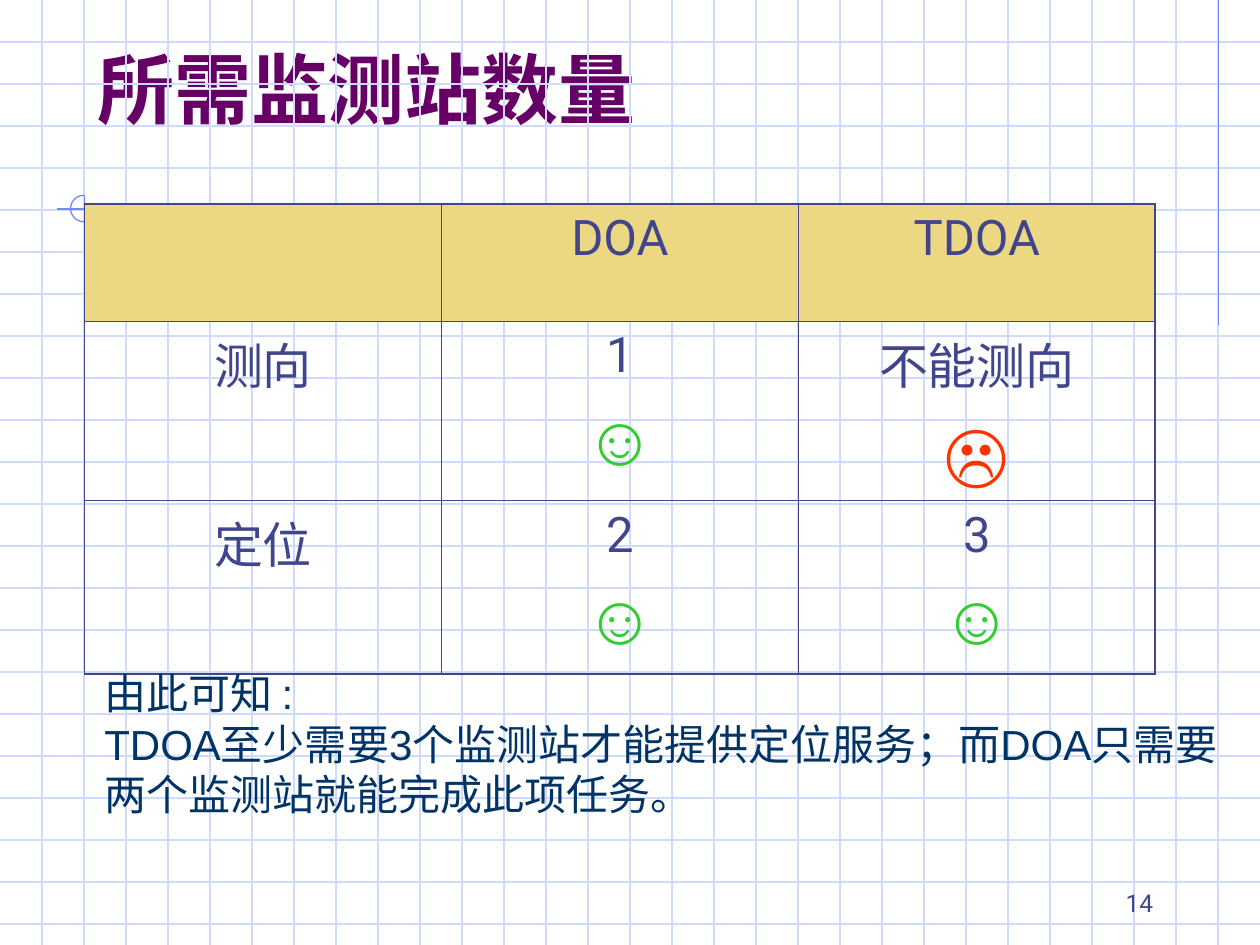
from dataclasses import dataclass

from lxml import etree
from pptx import Presentation
from pptx.dml.color import RGBColor
from pptx.enum.shapes import MSO_CONNECTOR, MSO_SHAPE
from pptx.enum.text import MSO_ANCHOR, MSO_AUTO_SIZE, PP_ALIGN
from pptx.oxml.ns import qn
from pptx.util import Inches, Pt

STRAIGHT = MSO_CONNECTOR.STRAIGHT
ARC = MSO_SHAPE.ARC
BOTTOM = MSO_ANCHOR.BOTTOM
LEFT, CENTER, RIGHT = PP_ALIGN.LEFT, PP_ALIGN.CENTER, PP_ALIGN.RIGHT
NO_AUTOFIT = MSO_AUTO_SIZE.NONE
GROW = MSO_AUTO_SIZE.SHAPE_TO_FIT_TEXT

GRID_BLUE = RGBColor(0xCF, 0xDB, 0xFD)
ACCENT_BLUE = RGBColor(0x6F, 0x89, 0xF7)
PURPLE = RGBColor(0x66, 0x00, 0x66)
INDIGO = RGBColor(0x40, 0x45, 0x8C)
NAVY = RGBColor(0x00, 0x33, 0x66)
SAND = RGBColor(0xEC, 0xD8, 0x82)
GREEN = RGBColor(0x33, 0xCC, 0x33)
RED = RGBColor(0xFF, 0x33, 0x00)

WIDTH, HEIGHT = 10, 7.5
CELLS_PER_INCH = 3
THIN, THICK = 0.45, 1.08


@dataclass
class Line:
    x1: float
    y1: float
    x2: float
    y2: float
    color: RGBColor


@dataclass
class Entry:
    label: str = ""
    face: str = ""
    face_color: RGBColor = GREEN


ACCENT_LINES = [
    Line(9.67, 0, 9.67, 2.58, ACCENT_BLUE),
    Line(2.4, 1.66, 0.45, 1.66, ACCENT_BLUE),
    Line(0.67, 1.55, 0.67, 4.09, ACCENT_BLUE),
]
ENTRIES = [
    [Entry(), Entry("DOA"), Entry("TDOA")],
    [Entry("测向"), Entry("1", "☺"), Entry("不能测向", "☹", RED)],
    [Entry("定位"), Entry("2", "☺"), Entry("3", "☺")],
]
ROW_HEIGHTS = [0.93, 1.38, 1.38]
CONCLUSION = [
    "由此可知 :",
    "TDOA至少需要3个监测站才能提供定位服务；而DOA只需要两个监测站就能完成此项任务。",
]


def draw_line(slide, line: Line) -> None:
    connector = slide.shapes.add_connector(
        STRAIGHT, Inches(line.x1), Inches(line.y1), Inches(line.x2), Inches(line.y2))
    connector.line.color.rgb = line.color
    connector.line.width = Pt(0.75)
    etree.SubElement(connector.element.spPr, qn("a:effectLst"))


def draw_background(slide) -> None:
    rows = [i / CELLS_PER_INCH for i in range(1, int(HEIGHT * CELLS_PER_INCH) + 1)]
    columns = [i / CELLS_PER_INCH for i in range(1, WIDTH * CELLS_PER_INCH)]
    lines = [Line(0, y, WIDTH, y, GRID_BLUE) for y in rows]
    lines += [Line(x, 0, x, HEIGHT, GRID_BLUE) for x in columns]
    for line in lines + ACCENT_LINES:
        draw_line(slide, line)
    arc = slide.shapes.add_shape(ARC, Inches(0.56), Inches(1.55), Inches(0.21), Inches(0.21))
    arc.adjustments[0] = 0
    arc.adjustments[1] = 162
    arc.shadow.inherit = False
    arc.fill.background()
    arc.line.color.rgb = ACCENT_BLUE
    arc.line.width = Pt(0.75)


def write(paragraph, text: str, size: float, font: str, color: RGBColor,
          alignment=LEFT, bold: bool = False) -> None:
    paragraph.text = text
    paragraph.alignment = alignment
    paragraph.font.size = Pt(size)
    paragraph.font.name = font
    paragraph.font.color.rgb = color
    paragraph.font.bold = bold


def add_text_box(slide, left: float, top: float, width: float, height: float):
    box = slide.shapes.add_textbox(Inches(left), Inches(top), Inches(width), Inches(height))
    box.text_frame.word_wrap = True
    return box.text_frame


def set_border(cell, side: str, width: float) -> None:
    properties = cell._tc.get_or_add_tcPr()
    border = etree.SubElement(properties, qn(f"a:ln{side}"), w=str(Pt(width)))
    fill = etree.SubElement(border, qn("a:solidFill"))
    etree.SubElement(fill, qn("a:srgbClr"), val=str(INDIGO))


def fill_cell(cell, entry: Entry, row: int, column: int) -> None:
    last = len(ENTRIES) - 1
    outer = {"L": column == 0, "R": column == last, "T": row == 0, "B": row == last}
    for side, is_outer in outer.items():
        set_border(cell, side, THICK if is_outer else THIN)
    if row == 0:
        cell.fill.solid()
        cell.fill.fore_color.rgb = SAND
    else:
        cell.fill.background()
    write(cell.text_frame.paragraphs[0], entry.label, 28, "Roboto", INDIGO, CENTER)
    if entry.face:
        face = cell.text_frame.add_paragraph()
        write(face, entry.face, 40, "Arial", entry.face_color, CENTER, True)
        face.space_before = Pt(10)


def add_comparison_table(slide) -> None:
    table = slide.shapes.add_table(
        3, 3, Inches(0.67), Inches(1.62), Inches(8.5), Inches(sum(ROW_HEIGHTS))).table
    table.first_row = False
    table.horz_banding = False
    for row, entries in enumerate(ENTRIES):
        table.rows[row].height = Inches(ROW_HEIGHTS[row])
        for column, entry in enumerate(entries):
            fill_cell(table.cell(row, column), entry, row, column)


def main() -> None:
    presentation = Presentation()
    presentation.slide_width = Inches(WIDTH)
    presentation.slide_height = Inches(HEIGHT)
    slide = presentation.slides.add_slide(presentation.slide_layouts[5])
    draw_background(slide)

    title = slide.shapes.title
    title.left, title.top = Inches(0.67), Inches(0.36)
    title.width, title.height = Inches(8.5), Inches(0.75)
    title.text_frame.auto_size = NO_AUTOFIT
    title.text_frame.vertical_anchor = BOTTOM
    write(title.text_frame.paragraphs[0], "所需监测站数量", 44, "Roboto", PURPLE, bold=True)

    add_comparison_table(slide)

    conclusion = add_text_box(slide, 0.73, 5.25, 9.27, 1.3)
    conclusion.auto_size = GROW
    conclusion.add_paragraph()
    for paragraph, text in zip(conclusion.paragraphs, CONCLUSION):
        write(paragraph, text, 24, "Arial", NAVY)

    number = add_text_box(slide, 7.17, 6.83, 2.08, 0.5)
    number.vertical_anchor = BOTTOM
    write(number.paragraphs[0], "14", 14, "Roboto", INDIGO, RIGHT)

    presentation.save("out.pptx")


if __name__ == "__main__":
    main()
